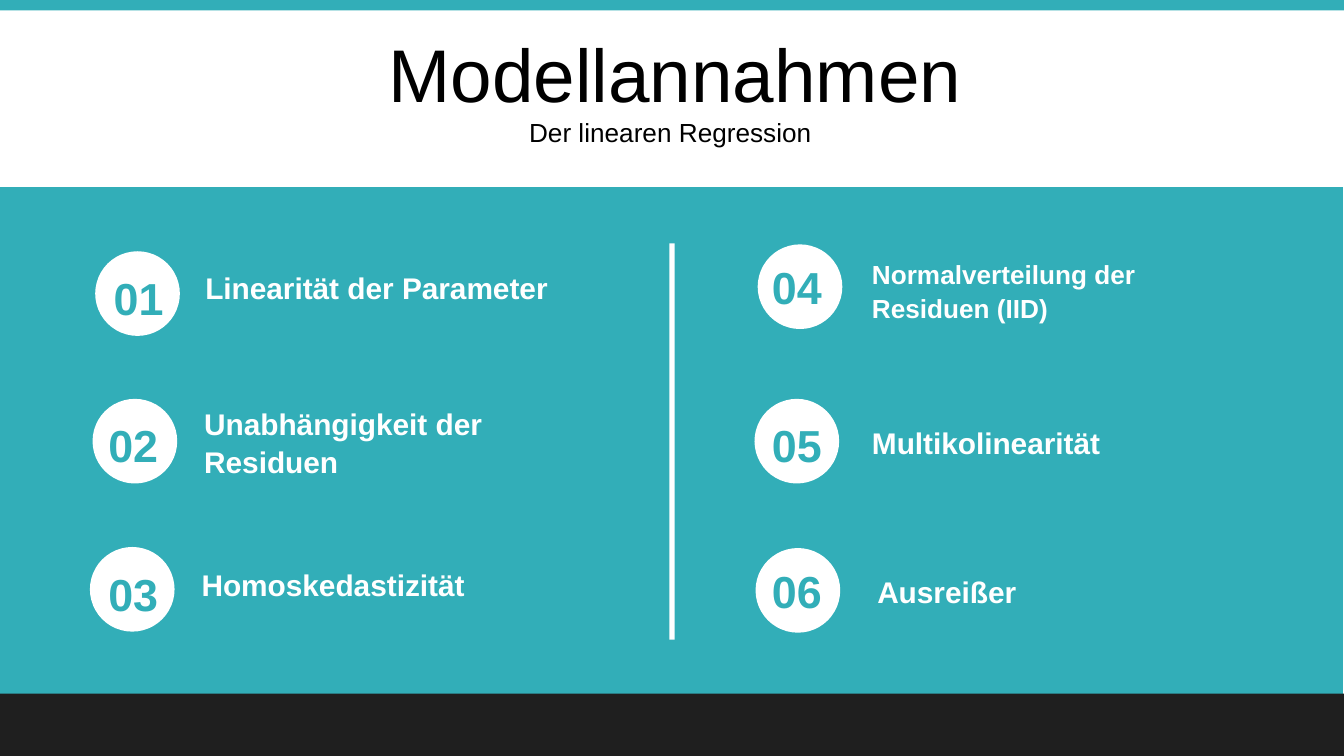
from dataclasses import dataclass

from pptx import Presentation
from pptx.dml.color import RGBColor
from pptx.enum.shapes import MSO_SHAPE
from pptx.enum.text import MSO_ANCHOR, MSO_AUTO_SIZE, PP_ALIGN
from pptx.util import Cm, Pt

TITLE = "Modellannahmen"
SUBTITLE = "Der linearen Regression"

# number, label, label size, then (left, top) of circle, number and label
ASSUMPTIONS = [
    ("01", "Linearität der Parameter", 16, (1.8, 4.75), (1.73, 4.93), (3.63, 4.93)),
    ("02", "Unabhängigkeit der Residuen", 16, (1.75, 7.54), (1.63, 7.7), (3.61, 7.49)),
    ("03", "Homoskedastizität", 16, (1.7, 10.34), (1.63, 10.52), (3.56, 10.54)),
    ("04", "Normalverteilung der Residuen (IID)", 14, (14.32, 4.62), (14.17, 4.72), (16.23, 4.72)),
    ("05", "Multikolinearität", 16, (14.26, 7.54), (14.17, 7.7), (16.23, 7.85)),
    ("06", "Ausreißer", 16, (14.28, 10.36), (14.17, 10.46), (16.33, 10.67)),
]


@dataclass(frozen=True)
class Theme:
    font: str = "Arial"
    teal: str = "32AEB8"
    white: str = "FFFFFF"
    black: str = "000000"
    dark: str = "1F1F1F"
    title: int = 40
    subtitle: int = 14
    number: int = 24
    heading_spacing: float = 1.15
    body_spacing: float = 1.07


T = Theme()
WIDTH, HEIGHT = 25.4, 14.29
CIRCLE = (1.6, 1.6)
NUMBER_BOX = (1.78, 1.27)
LABEL_BOX = (7.39, 0.86)


def add_block(s, kind, left, top, width, height, color):
    sp = s.shapes.add_shape(kind, Cm(left), Cm(top), Cm(width), Cm(height))
    sp.shadow.inherit = False
    sp.fill.solid()
    sp.fill.fore_color.rgb = RGBColor.from_string(color)
    sp.line.fill.background()


def set_text(sp, text, size, color, bold, align, spacing):
    tf = sp.text_frame
    tf.text = text
    tf.word_wrap = True
    tf.auto_size = MSO_AUTO_SIZE.NONE
    p = tf.paragraphs[0]
    p.alignment = align
    p.line_spacing = spacing
    font = p.runs[0].font
    font.name = T.font
    font.size = Pt(size)
    font.bold = bold
    font.color.rgb = RGBColor.from_string(color)


def add_text(s, pos, box, text, size, color, align):
    sp = s.shapes.add_textbox(*map(Cm, pos + box))
    set_text(sp, text, size, color, True, align, T.body_spacing)


def set_heading(sp, text, size):
    set_text(sp, text, size, T.black, False, PP_ALIGN.CENTER, T.heading_spacing)
    tf = sp.text_frame
    tf.vertical_anchor = MSO_ANCHOR.MIDDLE
    tf.margin_left = tf.margin_right = tf.margin_top = tf.margin_bottom = Cm(0.25)


def main():
    prs = Presentation()
    prs.slide_width, prs.slide_height = Cm(WIDTH), Cm(HEIGHT)
    s = prs.slides.add_slide(prs.slide_layouts[5])

    add_block(s, MSO_SHAPE.RECTANGLE, 0, 0, WIDTH, 0.2, T.teal)
    add_block(s, MSO_SHAPE.RECTANGLE, -0.02, 3.54, WIDTH, 9.6, T.teal)
    add_block(s, MSO_SHAPE.RECTANGLE, 12.65, 4.6, 0.1, 7.49, T.white)
    add_block(s, MSO_SHAPE.RECTANGLE, -0.02, 13.11, WIDTH + 0.04, 1.18, T.dark)

    title = s.shapes.title
    title.left, title.top, title.width, title.height = map(Cm, (0.05, 0.41, WIDTH, 1.68))
    set_heading(title, TITLE, T.title)
    subtitle = s.shapes.add_textbox(*map(Cm, (0.02, 2.06, 25.3, 0.79)))
    set_heading(subtitle, SUBTITLE, T.subtitle)

    for number, label, size, circle_at, number_at, label_at in ASSUMPTIONS:
        add_block(s, MSO_SHAPE.OVAL, *circle_at, *CIRCLE, T.white)
        add_text(s, number_at, NUMBER_BOX, number, T.number, T.teal, PP_ALIGN.CENTER)
        add_text(s, label_at, LABEL_BOX, label, size, T.white, PP_ALIGN.LEFT)

    prs.save("out.pptx")


if __name__ == "__main__":
    main()
